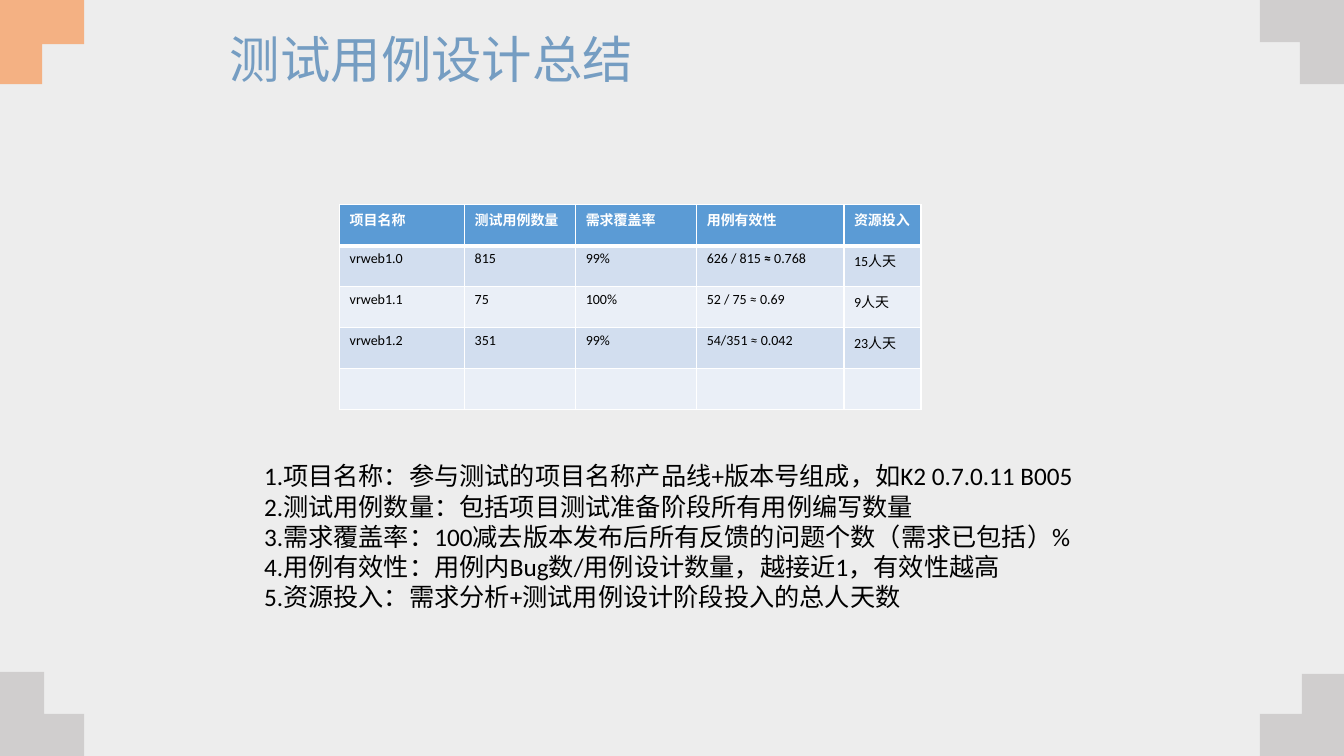
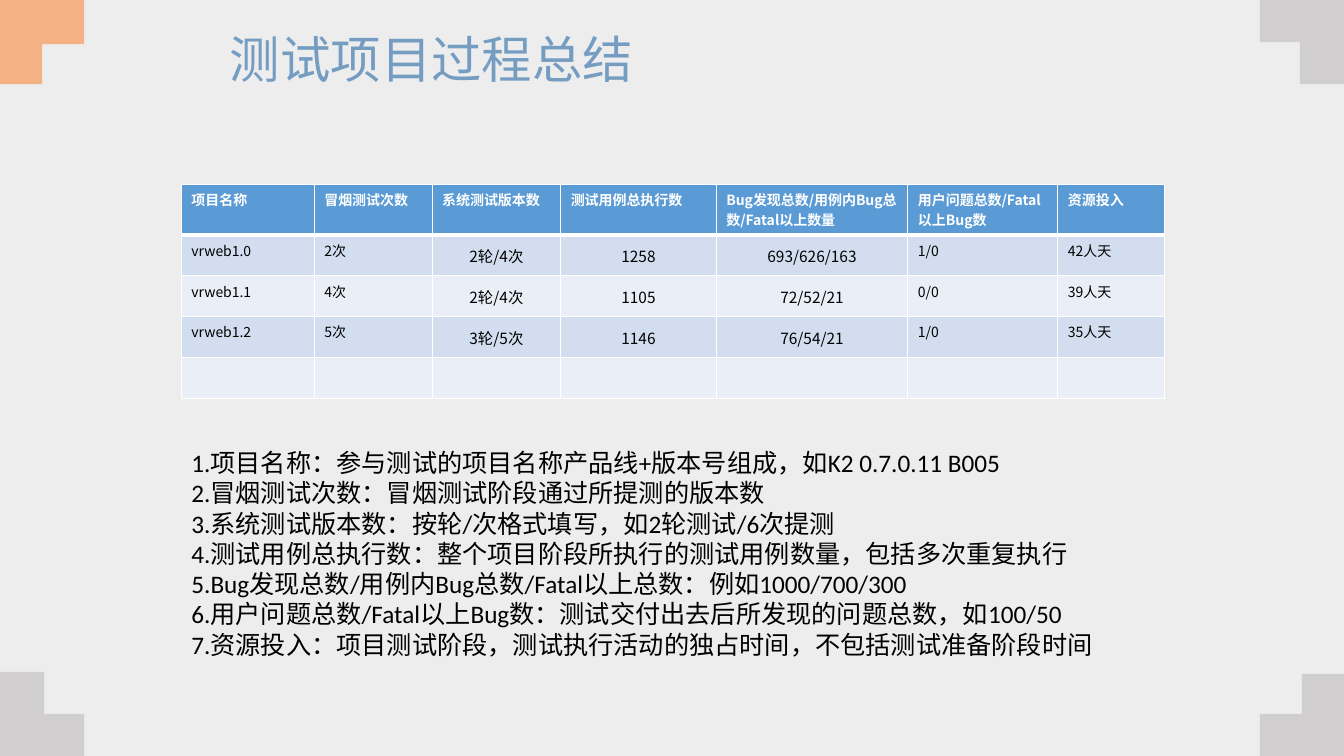
from dataclasses import dataclass

from lxml import etree
from pptx import Presentation
from pptx import util as u
from pptx.dml.color import RGBColor
from pptx.enum import text as t
from pptx.oxml import ns

# Shared look
BACKGROUND = RGBColor(0xED, 0xED, 0xED)
CORNER_GREY = RGBColor(0xD0, 0xCE, 0xCE)
CORNER_ORANGE = RGBColor(0xF4, 0xB1, 0x83)
TITLE_BLUE = RGBColor(0x75, 0x9D, 0xC2)
HEADER_BLUE = RGBColor(0x5B, 0x9B, 0xD5)
BANDS = (RGBColor(0xD2, 0xDE, 0xEF), RGBColor(0xEA, 0xEF, 0xF7))
WHITE = RGBColor(0xFF, 0xFF, 0xFF)
BLACK = RGBColor(0, 0, 0)
LATIN_FONT = "Calibri"
CHINESE_FONT = "Noto Sans CJK SC"
WIDTH, HEIGHT = 33.87, 19.05
ROW_HEIGHT = 1.03
ARM = 2.12
BOLD_MARK = "**"


@dataclass(frozen=True)
class Corner:
    x: float
    y: float
    right: int  # 1 when the arm runs right, -1 when it runs left
    down: int  # 1 when the arm runs down, -1 when it runs up
    upright: float  # thickness of the vertical arm
    flat: float  # thickness of the horizontal arm
    color: RGBColor


@dataclass(frozen=True)
class Box:
    left: float
    top: float
    width: float
    height: float


@dataclass(frozen=True)
class Summary:
    title: str
    table_left: float
    table_top: float
    columns: tuple[float, ...]
    rows: tuple[tuple[str, ...], ...]
    table_font: str
    centred: tuple[int, ...]
    legend_box: Box
    legend: tuple[str, ...]


CORNERS = (
    Corner(0, HEIGHT, 1, -1, 1.11, 1.06, CORNER_GREY),
    Corner(0, 0, 1, 1, 1.06, 1.11, CORNER_ORANGE),
    Corner(WIDTH, 0, -1, 1, 1.11, 1.06, CORNER_GREY),
    Corner(WIDTH, HEIGHT + 0.05, -1, -1, 1.06, 1.11, CORNER_GREY),
)
TITLE_BOX = Box(5.54, 0.71, 22.8, 1.7)

SUMMARIES = (
    Summary(
        title="测试用例设计总结",
        table_left=8.56,
        table_top=5.16,
        columns=(3.15, 2.8, 3.05, 3.71, 1.94),
        rows=(
            ("项目名称", "测试用例数量", "需求覆盖率", "用例有效性", "资源投入"),
            ("vrweb1.0", "815", "99%", "626 / 815 **≈ **0.768", "15人天"),
            ("vrweb1.1", "75", "100%", "52 / 75 ≈ 0.69", "9人天"),
            ("vrweb1.2", "351", "99%", "54/351 ≈ 0.042", "23人天"),
            ("",) * 5,
        ),
        table_font=LATIN_FONT,
        centred=(),
        legend_box=Box(6.4, 11.48, 21.08, 5.6),
        legend=(
            "1.项目名称：参与测试的项目名称产品线+版本号组成，如K2 0.7.0.11 B005",
            "2.测试用例数量：包括项目测试准备阶段所有用例编写数量",
            "3.需求覆盖率：100减去版本发布后所有反馈的问题个数（需求已包括）%",
            "4.用例有效性：用例内Bug数/用例设计数量，越接近1，有效性越高",
            "5.资源投入：需求分析+测试用例设计阶段投入的总人天数",
        ),
    ),
    Summary(
        title="测试项目过程总结",
        table_left=4.57,
        table_top=4.65,
        columns=(3.35, 2.97, 3.24, 3.92, 4.83, 3.78, 2.69),
        rows=(
            ("项目名称", "冒烟测试次数", "系统测试版本数", "测试用例总执行数",
             "Bug发现总数/用例内Bug总数/Fatal以上数量", "用户问题总数/Fatal以上Bug数", "资源投入"),
            ("vrweb1.0", "2次", "2轮/4次", "1258", "693/626/163", "1/0", "42人天"),
            ("vrweb1.1", "4次", "2轮/4次", "1105", "72/52/21", "0/0", "39人天"),
            ("vrweb1.2", "5次", "3轮/5次", "1146", "76/54/21", "1/0", "35人天"),
            ("",) * 7,
        ),
        table_font=CHINESE_FONT,
        centred=(2, 3, 4),
        legend_box=Box(4.57, 11.15, 23.6, 5.64),
        legend=(
            "1.项目名称：参与测试的项目名称产品线+版本号组成，如K2 0.7.0.11 B005",
            "2.冒烟测试次数：冒烟测试阶段通过所提测的版本数",
            "3.系统测试版本数：按轮/次格式填写，如2轮测试/6次提测",
            "4.测试用例总执行数：整个项目阶段所执行的测试用例数量，包括多次重复执行",
            "5.Bug发现总数/用例内Bug总数/Fatal以上总数：例如1000/700/300",
            "6.用户问题总数/Fatal以上Bug数：测试交付出去后所发现的问题总数，如100/50",
            "7.资源投入：项目测试阶段，测试执行活动的独占时间，不包括测试准备阶段时间",
        ),
    ),
)


def write(paragraph, content: str, *, size: float, color: RGBColor, font: str = LATIN_FONT,
          bold: bool = False, align=t.PP_ALIGN.LEFT, line_spacing: float = 1.0) -> None:
    """Fill a paragraph; text between bold marks is bold."""
    paragraph.alignment = align
    paragraph.line_spacing = line_spacing
    paragraph.space_before = u.Pt(0)
    for index, piece in enumerate(content.split(BOLD_MARK)):
        run = paragraph.add_run()
        run.text = piece
        run.font.size = u.Pt(size)
        run.font.bold = bold or index % 2 == 1
        run.font.color.rgb = color
        run.font.name = font
        east_asian = etree.SubElement(run._r.get_or_add_rPr(), ns.qn("a:ea"))
        east_asian.set("typeface", CHINESE_FONT)


def place(shape, box: Box) -> None:
    shape.left, shape.top = u.Cm(box.left), u.Cm(box.top)
    shape.width, shape.height = u.Cm(box.width), u.Cm(box.height)
    shape.text_frame.word_wrap = True
    shape.text_frame.auto_size = t.MSO_AUTO_SIZE.NONE


def remove_bullet(paragraph) -> None:
    properties = paragraph._p.get_or_add_pPr()
    properties.set("marL", "0")
    properties.set("indent", "0")
    etree.SubElement(properties, ns.qn("a:buNone"))


def set_borders(cell, **widths: float) -> None:
    properties = cell._tc.get_or_add_tcPr()
    for side in ("L", "R", "T", "B"):
        line = etree.SubElement(properties, ns.qn(f"a:ln{side}"), w=str(u.Pt(widths.get(side, 1))))
        fill = etree.SubElement(line, ns.qn("a:solidFill"))
        etree.SubElement(fill, ns.qn("a:srgbClr"), val=str(WHITE))


def add_corner(slide, corner: Corner):
    steps = ((0, 0), (ARM, 0), (ARM, corner.flat), (corner.upright, corner.flat),
             (corner.upright, ARM), (0, ARM))
    points = [(u.Cm(corner.x + corner.right * across), u.Cm(corner.y + corner.down * along))
              for across, along in steps]
    builder = slide.shapes.build_freeform(*points[0])
    builder.add_line_segments(points[1:], close=True)
    shape = builder.convert_to_shape()
    shape.shadow.inherit = False
    shape.fill.solid()
    shape.fill.fore_color.rgb = corner.color
    shape.line.fill.background()
    return shape


def decorate_master(master, slide) -> None:
    """Give the master its background and corner pieces."""
    master.background.fill.solid()
    master.background.fill.fore_color.rgb = BACKGROUND
    for index, corner in enumerate(CORNERS):
        element = add_corner(slide, corner).element
        element.nvSpPr.cNvPr.set("id", str(100 + index))
        master.shapes.element.insert(2 + index, element)


def add_summary_table(slide, summary: Summary) -> None:
    frame = slide.shapes.add_table(
        len(summary.rows), len(summary.columns), u.Cm(summary.table_left), u.Cm(summary.table_top),
        u.Cm(sum(summary.columns)), u.Cm(ROW_HEIGHT * len(summary.rows)))
    table = frame.table
    for column, width in zip(table.columns, summary.columns):
        column.width = u.Cm(width)
    for row_index, values in enumerate(summary.rows):
        table.rows[row_index].height = u.Cm(ROW_HEIGHT)
        header = row_index == 0
        for column_index, value in enumerate(values):
            cell = table.cell(row_index, column_index)
            set_borders(cell, T=3 if row_index == 1 else 1, B=3 if header else 1)
            cell.fill.solid()
            cell.fill.fore_color.rgb = HEADER_BLUE if header else BANDS[(row_index - 1) % 2]
            centred = bool(value) and not header and column_index in summary.centred
            if centred:
                cell.vertical_anchor = t.MSO_ANCHOR.MIDDLE
                cell.margin_left = cell.margin_right = cell.margin_top = u.Cm(0.02)
                cell.margin_bottom = 0
            write(cell.text_frame.paragraphs[0], value, size=11 if centred else 10,
                  color=WHITE if header else BLACK, font=summary.table_font, bold=header,
                  align=t.PP_ALIGN.CENTER if centred else t.PP_ALIGN.LEFT)


def fill_slide(slide, summary: Summary) -> None:
    # Title
    title = slide.shapes.title
    place(title, TITLE_BOX)
    title.text_frame.vertical_anchor = t.MSO_ANCHOR.MIDDLE
    write(title.text_frame.paragraphs[0], summary.title, size=36, color=TITLE_BLUE,
          font=CHINESE_FONT, line_spacing=0.9)
    # Table
    add_summary_table(slide, summary)
    # Explanation of the columns
    body = slide.placeholders[1]
    place(body, summary.legend_box)
    frame = body.text_frame
    for index, entry in enumerate(summary.legend):
        paragraph = frame.add_paragraph() if index else frame.paragraphs[0]
        remove_bullet(paragraph)
        write(paragraph, entry, size=18, color=BLACK)


def main() -> None:
    presentation = Presentation()
    presentation.slide_width, presentation.slide_height = u.Cm(WIDTH), u.Cm(HEIGHT)
    layout = presentation.slide_layouts.get_by_name("Title and Content")
    slides = [presentation.slides.add_slide(layout) for _ in SUMMARIES]
    decorate_master(presentation.slide_master, slides[0])
    for slide, summary in zip(slides, SUMMARIES):
        fill_slide(slide, summary)
    presentation.save("out.pptx")


if __name__ == "__main__":
    main()
